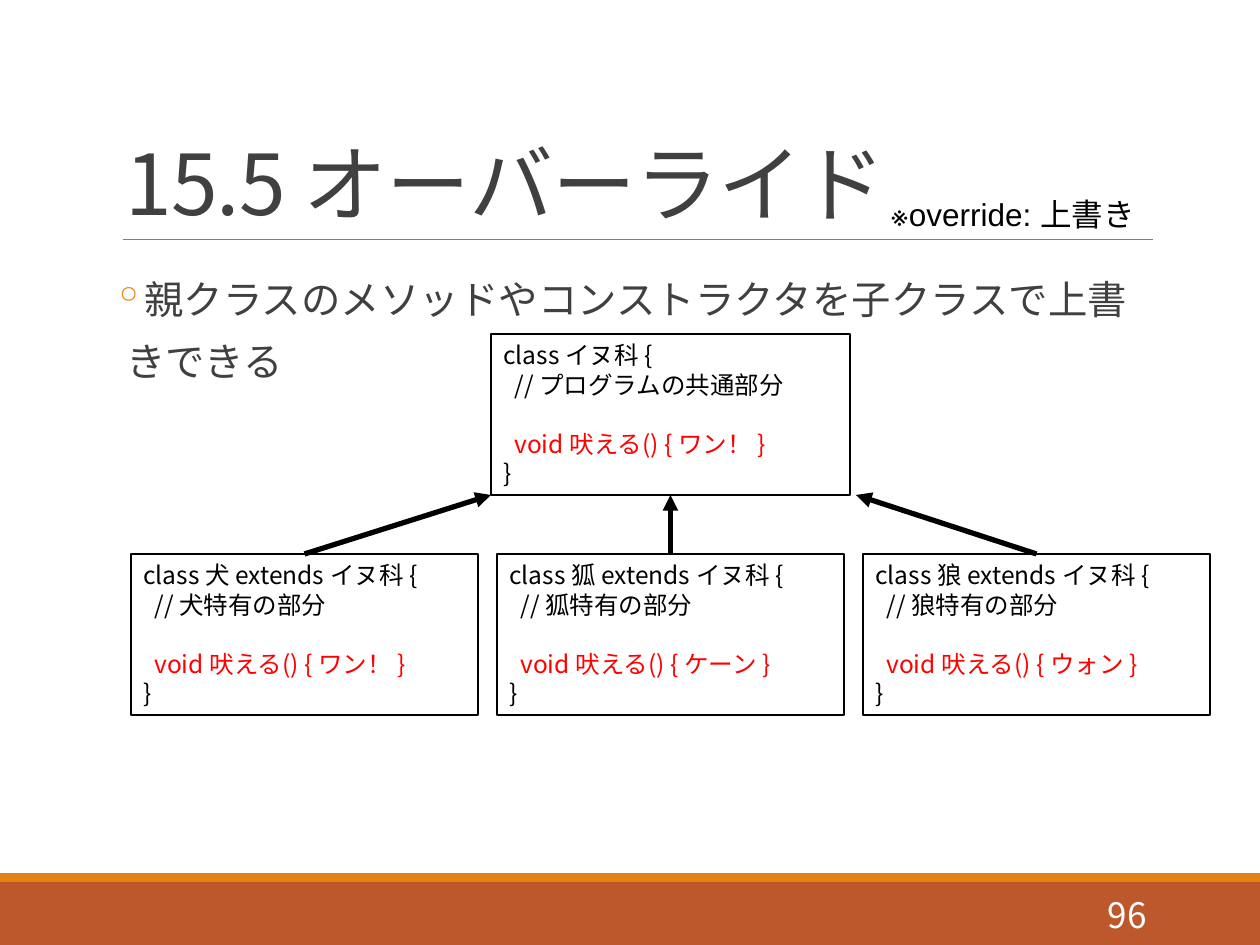
from lxml.etree import SubElement
from pptx import Presentation
from pptx.dml.color import RGBColor
from pptx.enum.shapes import MSO_CONNECTOR, MSO_SHAPE
from pptx.enum.text import MSO_ANCHOR, PP_ALIGN
from pptx.oxml.ns import qn
from pptx.util import Emu, Pt

BLACK = RGBColor(0x00, 0x00, 0x00)
WHITE = RGBColor(0xFF, 0xFF, 0xFF)
RED = RGBColor(0xFF, 0x00, 0x00)
DARK = RGBColor(0x40, 0x40, 0x40)
GRAY = RGBColor(0x80, 0x80, 0x80)
RUST = RGBColor(0xBD, 0x58, 0x2C)
ORANGE = RGBColor(0xE4, 0x83, 0x12)
JP_FONT = "Noto Sans CJK JP"


def px(n):
    return Emu(round(n * 914400 / 126))


def write(p, text, size=14, color=BLACK, font=JP_FONT, spacing=None):
    r = p.add_run()
    r.text = text
    r.font.size = Pt(size)
    r.font.name = font
    r.font.color.rgb = color
    rPr = r.font._element
    SubElement(rPr, qn("a:ea")).set("typeface", JP_FONT)
    if spacing is not None:
        rPr.set("spc", str(spacing))


def add_bullet(p, char, color, indent):
    pPr = p._p.get_or_add_pPr()
    pPr.set("marL", str(indent))
    pPr.set("indent", str(-indent))
    clr = SubElement(pPr, qn("a:buClr"))
    SubElement(clr, qn("a:srgbClr")).set("val", str(color))
    SubElement(pPr, qn("a:buChar")).set("char", char)


class SlideBuilder:
    def __init__(self, s):
        self.s = s

    def rect(self, x, y, w, h, fill=None, line=None):
        sp = self.s.shapes.add_shape(MSO_SHAPE.RECTANGLE, px(x), px(y), px(w), px(h))
        sp.shadow.inherit = False
        if fill is None:
            sp.fill.background()
        else:
            sp.fill.solid()
            sp.fill.fore_color.rgb = fill
        if line is None:
            sp.line.fill.background()
        else:
            sp.line.color.rgb = line
            sp.line.width = Pt(0.75)
        return sp

    def text(self, x, y, w, h, text, anchor=MSO_ANCHOR.TOP, align=PP_ALIGN.LEFT,
             line_spacing=None, bullet=None, wrap=True, **style):
        tf = self.s.shapes.add_textbox(px(x), px(y), px(w), px(h)).text_frame
        tf.word_wrap = wrap
        tf.vertical_anchor = anchor
        p = tf.paragraphs[0]
        p.alignment = align
        if line_spacing:
            p.line_spacing = line_spacing
        if bullet:
            tf.margin_left = tf.margin_right = 0
            add_bullet(p, bullet, ORANGE, px(13))
        write(p, text, **style)

    def class_box(self, x, y, w, h, header, comment, cry):
        sp = self.rect(x, y, w, h, line=BLACK)
        tf = sp.text_frame
        tf.word_wrap = True
        tf.vertical_anchor = MSO_ANCHOR.TOP
        method = f"  void 吠える() {{ {cry} }}"
        lines = [f"class {header} {{", f"  // {comment}", method, "}"]
        for i, line in enumerate(lines):
            p = tf.add_paragraph() if i else tf.paragraphs[0]
            p.alignment = PP_ALIGN.LEFT
            if line == method:
                p.space_before = Pt(17)
            write(p, line, color=RED if line == method else BLACK)
        return sp

    def line(self, x1, y1, x2, y2, color=BLACK, width=3, arrow=False):
        c = self.s.shapes.add_connector(MSO_CONNECTOR.STRAIGHT, px(x1), px(y1), px(x2), px(y2))
        c.line.color.rgb = color
        c.line.width = Pt(width)
        if arrow:
            SubElement(c.line._get_or_add_ln(), qn("a:tailEnd")).set("type", "triangle")
        SubElement(c._element.spPr, qn("a:effectLst"))
        return c


def main():
    prs = Presentation()
    prs.slide_width, prs.slide_height = px(1260), px(945)
    b = SlideBuilder(prs.slides.add_slide(prs.slide_layouts[6]))

    b.rect(0, 882, 1260, 63, fill=RUST)
    b.rect(0, 873, 1260, 9, fill=ORANGE)
    b.line(123, 239, 1153, 239, color=GRAY, width=0.5)
    b.text(113, 39, 1040, 200, "15.5 オーバーライド", anchor=MSO_ANCHOR.BOTTOM,
           line_spacing=0.85, size=48, color=DARK, spacing=-50)
    b.text(113, 255, 1040, 97, "親クラスのメソッドやコンストラクタを子クラスで上書きできる",
           line_spacing=1.3, bullet="◦", size=22.5, color=DARK)
    b.text(1023, 890, 136, 50, "96", anchor=MSO_ANCHOR.MIDDLE, align=PP_ALIGN.RIGHT,
           size=20, color=WHITE)
    b.text(878, 189, 280, 50, "※override: 上書き", wrap=False, size=18, font="Arial")

    box_h, parent_x, parent_y, parent_w = 161, 491, 334, 359
    child_x, child_y, child_w, pitch = 131, 554, 347, 366
    parent_bottom = parent_y + box_h
    parent = b.class_box(parent_x, parent_y, parent_w, box_h,
                         "イヌ科", "プログラムの共通部分", "ワン！")
    children = [("犬", "ワン！", parent_x), ("狐", "ケーン", None), ("狼", "ウォン", 856)]
    for i, (animal, cry, arrow_x) in enumerate(children):
        x = child_x + i * pitch
        child = b.class_box(x, child_y, child_w, box_h,
                            f"{animal} extends イヌ科", f"{animal}特有の部分", cry)
        middle = x + child_w / 2
        arrow = b.line(middle, child_y, arrow_x or middle, parent_bottom, arrow=True)
        arrow.begin_connect(child, 0)
        if arrow_x is None:
            arrow.end_connect(parent, 2)

    prs.save("out.pptx")


if __name__ == "__main__":
    main()
